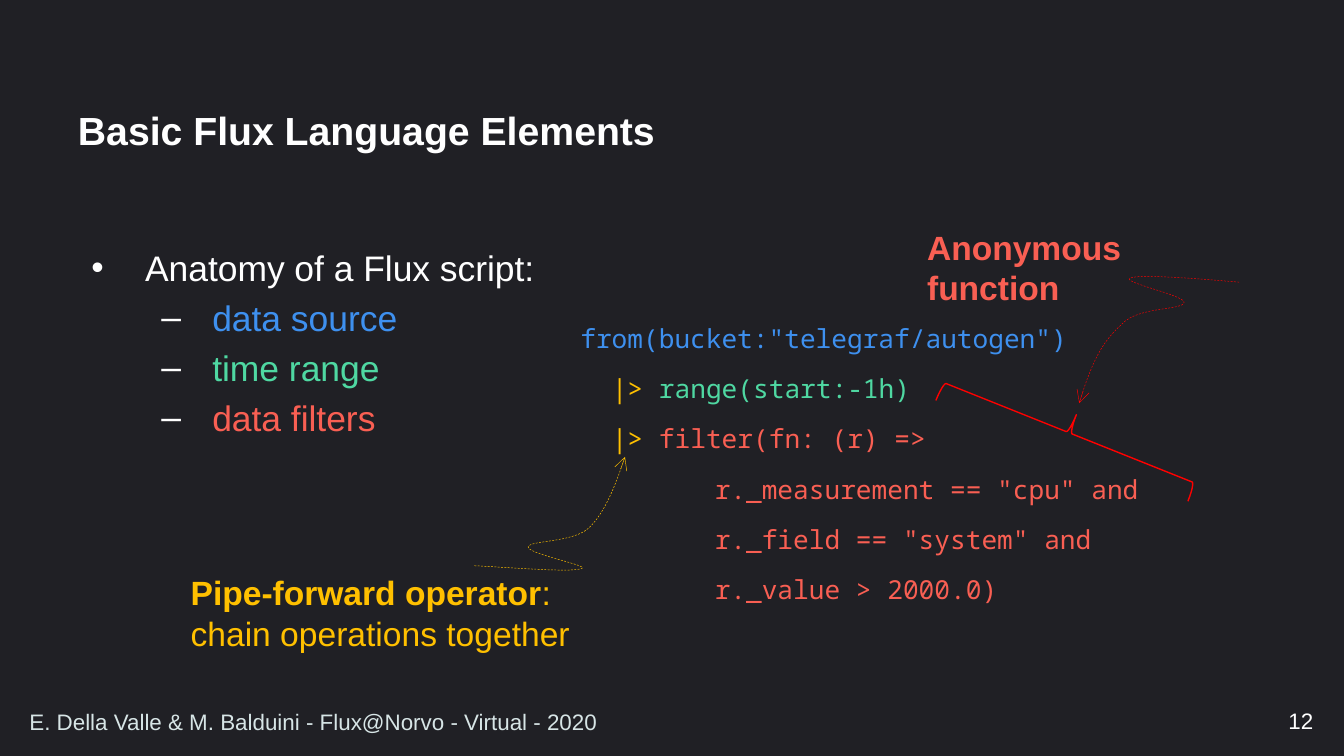
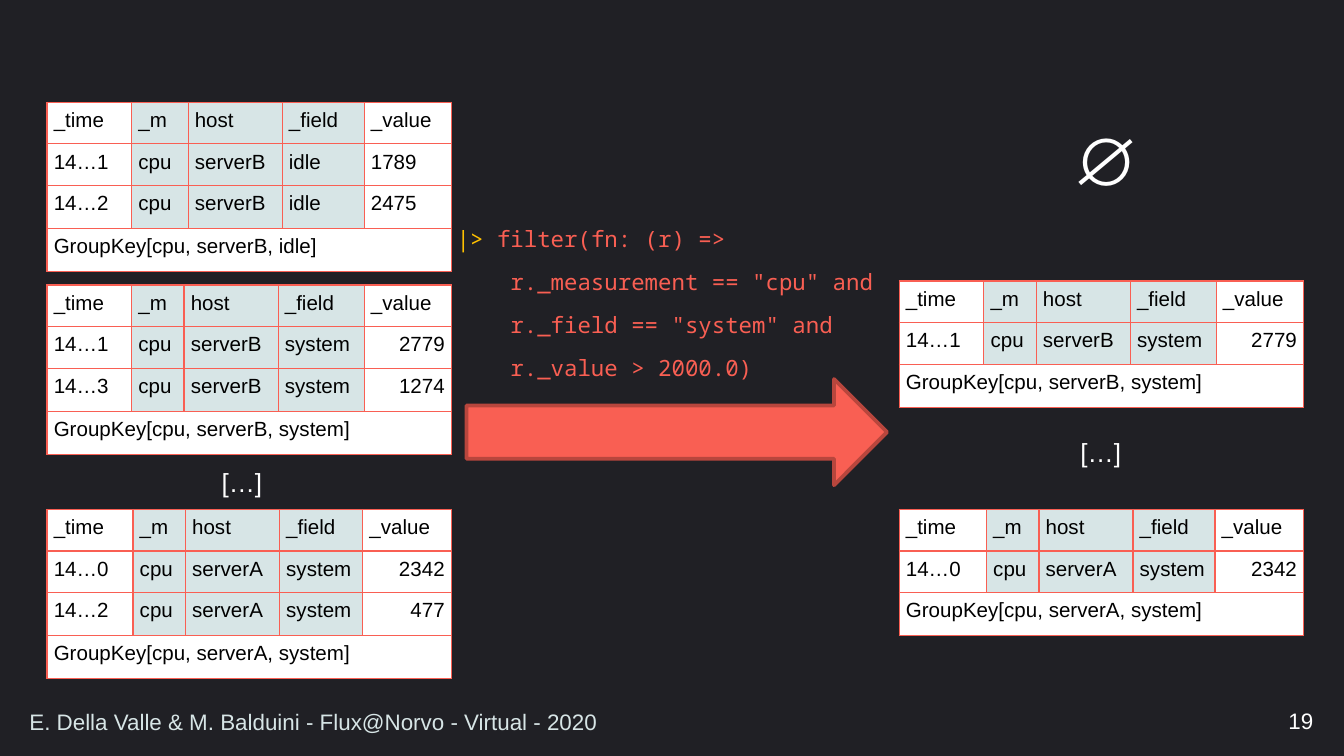
import pptx
import pptx.util
import pptx.dml.color
import pptx.enum.dml
import pptx.enum.shapes
import pptx.enum.text
import pptx.oxml
import pptx.oxml.ns

Inches, Pt = pptx.util.Inches, pptx.util.Pt
ALIGN, ANCHOR = pptx.enum.text.PP_ALIGN, pptx.enum.text.MSO_ANCHOR
SHAPE = pptx.enum.shapes.MSO_SHAPE

COLORS = {
    "dark": "202025", "white": "FFFFFF", "black": "000000", "pale": "D7E5E6",
    "blue": "3E90EF", "green": "4FD8A2", "coral": "F95F53", "coral_dark": "B8463D",
    "amber": "FFC000", "red": "FF0000",
}
SANS, MONO = "Arial", "Noto Sans Mono"
FOOTER = "E. Della Valle & M. Balduini - Flux@Norvo - Virtual - 2020"
FILTER_CONDITIONS = ['r._measurement == "cpu" and', 'r._field == "system" and',
                     "r._value > 2000.0)"]


# Shared helpers
def rgb(name):
    return pptx.dml.color.RGBColor.from_string(COLORS[name])


def add_xml(parent, xml):
    ns = pptx.oxml.ns.nsdecls("a")
    parent.append(pptx.oxml.parse_xml(xml.replace("{ns}", ns)))


def style_run(r, size, color, font=SANS, bold=False):
    r.font.size, r.font.name, r.font.bold = Pt(size), font, bold
    r.font.color.rgb = rgb(color)


def add_text(slide, box, lines, size, font=SANS, align=ALIGN.LEFT, spacing=None,
             wrap=True, anchor=ANCHOR.TOP):
    """Each line is a list of (text, color) or (text, color, bold) runs."""
    tf = slide.shapes.add_textbox(*map(Inches, box)).text_frame
    tf.word_wrap, tf.vertical_anchor = wrap, anchor
    for i, runs in enumerate(lines):
        p = tf.add_paragraph() if i else tf.paragraphs[0]
        p.alignment = align
        if spacing:
            p.line_spacing = spacing
        for text, color, *bold in runs:
            if text == "\n":
                p.add_line_break()
                continue
            r = p.add_run()
            r.text = text
            style_run(r, size, color, font, bool(bold))
    return tf


def add_footer(slide, box, number):
    x, y, w, h = box
    add_text(slide, (x + 7.5, y, w - 7.5, h), [[(str(number), "white")]], 12,
             align=ALIGN.RIGHT, anchor=ANCHOR.MIDDLE)
    add_text(slide, (x, y + 0.01, 7.45, h - 0.01), [[(FOOTER, "pale")]], 12,
             anchor=ANCHOR.MIDDLE)


def new_slide(prs, layout, number):
    slide = prs.slides.add_slide(prs.slide_layouts[layout])
    add_footer(slide, (0.12, 5.21, 9.75, 0.3), number)
    return slide


# Language elements slide
def add_title(slide, box, text):
    sp = slide.shapes.title
    sp.left, sp.top, sp.width, sp.height = map(Inches, box)
    tf = sp.text_frame
    tf.text = text
    tf.vertical_anchor = ANCHOR.MIDDLE
    tf.margin_left = tf.margin_right = Inches(0.07)
    tf.margin_top = tf.margin_bottom = Inches(0.04)
    p = tf.paragraphs[0]
    p.alignment, p.line_spacing = ALIGN.LEFT, 0.9
    style_run(p.runs[0], 21, "white", bold=True)


def add_outline(slide, box):
    items = [("Anatomy of a Flux script:", "white"), ("data source", "blue"),
             ("time range", "green"), ("data filters", "coral")]
    tf = add_text(slide, box, [[item] for item in items], 19)
    tf.margin_left = tf.margin_right = Inches(0.07)
    tf.margin_top = tf.margin_bottom = Inches(0.04)
    for i, p in enumerate(tf.paragraphs):
        level = min(i, 1)
        p.level = level
        if i:
            p.space_before = Pt(4)
        pPr = p._p.get_or_add_pPr()
        pPr.set("marL", str(Inches((0.5, 1)[level])))
        pPr.set("indent", str(Inches((-0.4, -0.38)[level])))
        add_xml(pPr, f'<a:buClr {{ns}}><a:srgbClr val="{COLORS["white"]}"/></a:buClr>')
        add_xml(pPr, f'<a:buFont {{ns}} typeface="{SANS}"/>')
        add_xml(pPr, f'<a:buChar {{ns}} char="{"•–"[level]}"/>')


def add_flux_script(slide, box):
    pipe = [("  ", "black"), ("|> ", "amber")]
    lines = [
        [('from(bucket:"telegraf/autogen")', "blue")],
        pipe + [("range(start:-1h)", "green")],
        pipe + [("filter(fn: (r) =>", "coral")],
    ]
    lines += [[("\t" + text, "coral")] for text in FILTER_CONDITIONS]
    tf = add_text(slide, box, lines, 14, MONO, spacing=1.6)
    for p in tf.paragraphs[3:]:
        add_xml(p._p.get_or_add_pPr(),
                f'<a:tabLst {{ns}}><a:tab pos="{Inches(1)}" algn="l"/></a:tabLst>')


def bezier_points(start, segments, steps=16):
    points = [start]
    for c1, c2, end in segments:
        p0 = points[-1]
        for i in range(1, steps + 1):
            t = i / steps
            u = 1 - t
            points.append(tuple(
                u**3 * a + 3 * u * u * t * b + 3 * u * t * t * c + t**3 * d
                for a, b, c, d in zip(p0, c1, c2, end)))
    return points


def add_curved_arrow(slide, origin, color, start, segments):
    x, y = origin
    points = [(Inches(x + px), Inches(y + py))
              for px, py in bezier_points(start, segments)]
    fb = slide.shapes.build_freeform(*points[0])
    fb.add_line_segments(points[1:], close=False)
    sp = fb.convert_to_shape()
    sp.shadow.inherit = False
    sp.fill.background()
    sp.line.color.rgb = rgb(color)
    sp.line.width = Pt(0.25)
    sp.line.dash_style = pptx.enum.dml.MSO_LINE.DASH
    add_xml(sp.line._get_or_add_ln(), '<a:tailEnd {ns} type="arrow"/>')


def add_pipe_note(slide, box):
    x, y, w, h = box
    add_text(slide, (x, y + 0.81, w, h - 0.81),
             [[("Pipe-forward operator", "amber", True), (": ", "amber"),
               ("\n", "amber"), ("chain operations together", "amber")]],
             18, wrap=False)
    add_curved_arrow(slide, (x + 2.21, y), "amber", (0, 0.81), [
        ((0.37, 0.83), (0.73, 0.86), (0.8, 0.83)),
        ((0.86, 0.81), (0.39, 0.72), (0.4, 0.67)),
        ((0.41, 0.62), (0.73, 0.64), (0.85, 0.53)),
        ((0.97, 0.42), (1.05, 0.21), (1.12, 0))])


def add_function_note(slide, box):
    x, y, w, h = box
    add_text(slide, (x, y, 1.8, 0.71), [[("Anonymous function", "coral", True)]], 18)
    add_curved_arrow(slide, (x + 1.23, y + 0.42), "red", (1.19, 0.04), [
        ((0.82, 0.01), (0.45, -0.02), (0.38, 0.01)),
        ((0.31, 0.04), (0.79, 0.14), (0.78, 0.19)),
        ((0.78, 0.25), (0.44, 0.22), (0.32, 0.35)),
        ((0.19, 0.47), (0.11, 0.58), (0, 0.94))])
    sp = slide.shapes.add_shape(SHAPE.RIGHT_BRACE, Inches(x + 1.01), Inches(y + 0.57),
                                Inches(0.29), Inches(2.02))
    sp.rotation = 291.8
    sp.shadow.inherit = False
    sp.fill.background()
    sp.line.color.rgb = rgb("red")
    sp.line.width = Pt(0.75)


def build_elements_slide(prs):
    slide = new_slide(prs, 5, 12)
    add_title(slide, (0.51, 0.67, 8.98, 0.64), "Basic Flux Language Elements")
    add_outline(slide, (0.51, 1.79, 8.98, 3.28))
    add_flux_script(slide, (4.22, 2.21, 5, 2.32))
    add_pipe_note(slide, (1.32, 3.4, 3.09, 1.52))
    add_function_note(slide, (6.8, 1.64, 2.68, 2.59))


# Filter slide
def style_cell(cell, fill, align):
    cell.margin_left = cell.margin_right = Inches(0.05)
    cell.margin_top = cell.margin_bottom = Inches(0.05)
    cell.fill.solid()
    cell.fill.fore_color.rgb = rgb(fill)
    p = cell.text_frame.paragraphs[0]
    p.alignment = align
    for r in p.runs:
        style_run(r, 11, "black")
    tcPr = cell._tc.get_or_add_tcPr()
    for i, side in enumerate(("lnL", "lnR", "lnT", "lnB")):
        ln = pptx.oxml.parse_xml(
            f'<a:{side} {pptx.oxml.ns.nsdecls("a")} w="{Pt(0.75)}"><a:solidFill>'
            f'<a:srgbClr val="{COLORS["coral"]}"/></a:solidFill></a:{side}>')
        tcPr.insert(i, ln)


def add_group_table(slide, at, widths, server, field, records, value_align=ALIGN.RIGHT):
    """A stream table: header, one row per (time, value), then its group key."""
    rows = [["_time", "_m", "host", "_field", "_value"]]
    rows += [[time, "cpu", server, field, value] for time, value in records]
    rows.append([f"GroupKey[cpu, {server}, {field}]"] + [""] * 4)
    heights = [0.31, 0.31] + [0.32] * (len(rows) - 2)
    box = (*at, sum(widths), sum(heights))
    tbl = slide.shapes.add_table(len(rows), 5, *map(Inches, box)).table
    tbl.first_row = tbl.horz_banding = False
    for col, width in zip(tbl.columns, widths):
        col.width = Inches(width)
    last = len(rows) - 1
    for i, (row, height) in enumerate(zip(rows, heights)):
        tbl.rows[i].height = Inches(height)
        for j, text in enumerate(row):
            cell = tbl.cell(i, j)
            if text:
                cell.text_frame.text = text
            in_key = 1 <= j <= 3 and i < last
            is_value = j == 4 and 0 < i < last
            style_cell(cell, "pale" if in_key else "white",
                       value_align if is_value else ALIGN.LEFT)
    tbl.cell(last, 0).merge(tbl.cell(last, 4))


def add_symbol(slide, box, text, size):
    add_text(slide, box, [[(text, "white")]], size, wrap=False)


def add_input_tables(slide, box):
    x, y, w, h = box
    add_group_table(slide, (x, y), (0.63, 0.42, 0.7, 0.61, 0.65), "serverB", "idle",
                    [("14…1", "1789"), ("14…2", "2475")], ALIGN.LEFT)
    add_group_table(slide, (x, y + 1.36), (0.63, 0.39, 0.7, 0.64, 0.65), "serverB",
                    "system", [("14…1", "2779"), ("14…3", "1274")])
    add_symbol(slide, (x + 1.2, y + 2.66, 0.51, 0.34), "[…]", 14)
    add_group_table(slide, (x, y + 3.03), (0.64, 0.39, 0.7, 0.62, 0.66), "serverA",
                    "system", [("14…0", "2342"), ("14…2", "477")])


def add_filter_step(slide, box):
    x, y, w, h = box
    lines = [[("|> ", "amber"), ("filter(fn: (r) =>", "coral")]]
    lines += [[("    " + text, "coral")] for text in FILTER_CONDITIONS]
    add_text(slide, (x, y, w, 1.41), lines, 12, MONO, spacing=1.6)
    sp = slide.shapes.add_shape(SHAPE.UP_ARROW, Inches(x + 1.34), Inches(y + 0.14),
                                Inches(0.79), Inches(3.13))
    sp.rotation = 90
    sp.shadow.inherit = False
    sp.fill.solid()
    sp.fill.fore_color.rgb = rgb("coral")
    sp.line.color.rgb = rgb("coral_dark")
    sp.line.width = Pt(2)


def add_output_tables(slide, box):
    x, y, w, h = box
    add_symbol(slide, (x + 1.19, y, 0.52, 0.71), "∅", 36)
    add_group_table(slide, (x, y + 1.26), (0.63, 0.39, 0.7, 0.64, 0.65), "serverB",
                    "system", [("14…1", "2779")])
    add_symbol(slide, (x + 1.25, y + 2.37, 0.51, 0.34), "[…]", 14)
    add_group_table(slide, (x, y + 2.96), (0.65, 0.39, 0.7, 0.61, 0.66), "serverA",
                    "system", [("14…0", "2342")])


def build_filter_slide(prs):
    slide = new_slide(prs, 6, 19)
    add_input_tables(slide, (0.35, 0.76, 3.01, 4.3))
    add_filter_step(slide, (3.3, 1.51, 5, 2.1))
    add_output_tables(slide, (6.69, 0.83, 3.01, 3.91))


def main():
    prs = pptx.Presentation()
    prs.slide_width = Inches(10)
    prs.slide_height = prs.slide_width * 9 // 16
    fill = prs.slide_master.background.fill
    fill.solid()
    fill.fore_color.rgb = rgb("dark")
    build_elements_slide(prs)
    build_filter_slide(prs)
    prs.save("out.pptx")


if __name__ == "__main__":
    main()
